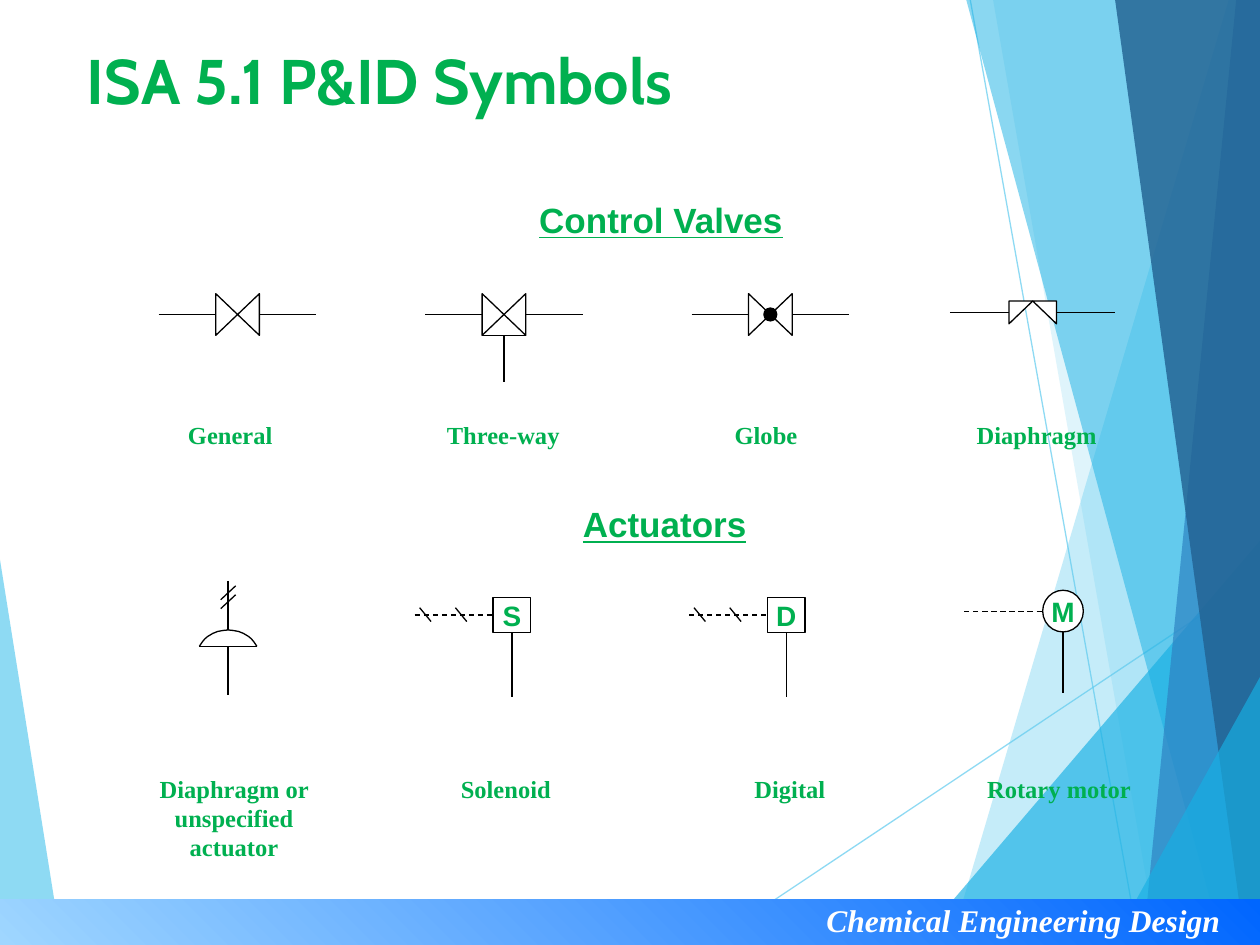
from lxml import etree
from pptx import Presentation
from pptx.dml import color
from pptx.enum import dml, shapes, text
from pptx.oxml import ns
from pptx.util import Cm, Pt

WIDTH, HEIGHT = 25.4, 19.05
GREEN, BLACK, WHITE, SKY, AZURE = "00B050", "000000", "FFFFFF", "5FCBEF", "17B0E4"
KIND = shapes.MSO_SHAPE


def rgb(value):
    return color.RGBColor.from_string(value)


def set_alpha(part, percent):
    """Make the first colour found in a fill or line translucent."""
    for tint in part.iter(ns.qn("a:srgbClr")):
        etree.SubElement(tint, ns.qn("a:alpha")).set("val", str(percent * 1000))
        break


def add_line(page, x1, y1, x2, y2, tint=BLACK, dashed=False):
    line = page.shapes.add_connector(shapes.MSO_CONNECTOR.STRAIGHT,
                                     Cm(x1), Cm(y1), Cm(x2), Cm(y2))
    line.line.color.rgb = rgb(tint)
    line.line.width = Pt(0.75)
    if dashed:
        line.line.dash_style = dml.MSO_LINE.DASH
    etree.SubElement(line._element.spPr, ns.qn("a:effectLst"))
    return line


def paint(shape, fill, outline=BLACK):
    shape.shadow.inherit = False
    shape.fill.solid()
    shape.fill.fore_color.rgb = rgb(fill)
    if outline:
        shape.line.color.rgb = rgb(outline)
        shape.line.width = Pt(0.75)
    else:
        shape.line.fill.background()
    return shape


def add_part(page, kind, x, y, width, height, fill=WHITE):
    return paint(page.shapes.add_shape(kind, Cm(x), Cm(y), Cm(width), Cm(height)), fill)


def add_outline(page, points, fill, outline=None, close=True):
    start, *rest = [(Cm(x), Cm(y)) for x, y in points]
    builder = page.shapes.build_freeform(*start)
    builder.add_line_segments(rest, close=close)
    return paint(builder.convert_to_shape(), fill, outline)


def write(shape, words, size, font="Times New Roman", tint=GREEN, align=None, wrap=True):
    frame = shape.text_frame
    frame.word_wrap = wrap
    para = frame.paragraphs[0]
    para.text = words
    para.alignment = align
    para.font.size, para.font.name, para.font.bold = Pt(size), font, True
    para.font.color.rgb = rgb(tint)
    return para


def add_text(page, box, words, size, **style):
    return write(page.shapes.add_textbox(*map(Cm, box)), words, size, **style)


def backdrop(page, width, height):
    """Translucent facets at both edges, and the footer band."""
    facets = [
        ([(0, 11.28), (1.24, height), (0, height)], SKY, 70),
        ([(24.77, 0), (19.15, height), (width, height), (width, 0)], SKY, 36),
        ([(20.02, 0), (23.34, height), (width, height), (width, 0)], SKY, 20),
        ([(18.44, height), (width, 10.9), (width, height)], AZURE, 66),
        ([(19.48, 0), (24.64, height), (width, height), (width, 0)], AZURE, 50),
        ([(24.92, 0), (23.04, height), (width, height), (width, 0)], "2E83C3", 70),
        ([(22.48, 0), (25.1, height), (width, height), (width, 0)], "236292", 82),
        ([(22.4, height), (width, 13.65), (width, height)], AZURE, 66),
    ]
    rays = [(14.25, height, width, 11.61), (19.56, 0, 22.96, height)]

    def add_facet(points, fill, percent):
        set_alpha(add_outline(page, points, fill)._element.spPr, percent)

    add_facet(*facets[0])
    for ray in rays:
        set_alpha(add_line(page, *ray, tint=SKY)._element.spPr, 70)
    for facet in facets[1:]:
        add_facet(*facet)

    # Footer band
    band = add_part(page, KIND.RECTANGLE, 0, height - 0.92, width, 0.92)
    band.line.fill.background()
    band.fill.gradient()
    band.fill.gradient_angle = 45
    for stop, tint, place in zip(band.fill.gradient_stops, ("9FD6FF", "0066FF"), (0, 1)):
        stop.color.rgb = rgb(tint)
        stop.position = place
    para = add_text(page, (16.41, height - 1.02, 8.95, 1.02),
                    "Chemical Engineering Design", 18, tint=WHITE)
    para.font.italic = True


def valve(page, x, y, kind):
    """Bow-tie valve on a pipe that starts at x, y."""
    middle = x + 1.59
    add_line(page, x, y, x + 3.18, y)
    if kind == "Three-way":
        add_line(page, middle, y + 0.43, middle, y + 1.37)
    body = add_part(page, KIND.FLOWCHART_COLLATE, middle - 0.42, y - 0.44, 0.84, 0.88)
    body.rotation = 270
    if kind == "Three-way":
        add_line(page, middle - 0.44, y + 0.43, middle + 0.44, y + 0.43)
    if kind == "Globe":
        add_part(page, KIND.OVAL, middle - 0.13, y - 0.13, 0.26, 0.26, BLACK)


def diaphragm_valve(page, x, y):
    for left, flips in ((x + 1.19, ["flipV"]), (x + 1.67, ["flipH", "flipV"])):
        half = add_part(page, KIND.RIGHT_TRIANGLE, left, y - 0.23, 0.48, 0.46)
        for flip in flips:
            half._element.spPr.xfrm.set(flip, "1")
    for left in (x, x + 2.14):
        add_line(page, left, y, left + 1.19, y)


def diaphragm_actuator(page, x, y):
    """Dome whose base is centred on x, y."""
    add_line(page, x, y - 1.32, x, y + 0.99)
    half = [(-0.58, 0), (-0.52, -0.09), (-0.47, -0.15), (-0.41, -0.2),
            (-0.31, -0.26), (-0.21, -0.3), (-0.1, -0.32)]
    arc = half + [(0, -0.33)] + [(-dx, dy) for dx, dy in reversed(half)]
    add_outline(page, [(x + dx, y + dy) for dx, dy in arc], WHITE, BLACK, close=False)
    add_line(page, x - 0.58, y, x + 0.58, y)
    for rise in (0.94, 0.76):
        add_line(page, x - 0.15, y - rise, x + 0.15, y - rise - 0.28)


def lettered_actuator(page, x, y, letter, kind, width, height, ticks):
    """Dashed signal line from x, y to a lettered body on a stem."""
    left = x + 1.58
    add_line(page, x, y, left, y, dashed=True)
    middle = left + width / 2
    add_line(page, middle, y + height / 2, middle, y + 1.65)
    for tick in ticks:
        add_line(page, x + tick, y - 0.15, x + tick + 0.23, y + 0.13)
    body = add_part(page, kind, left, y - height / 2, width, height)
    body.text_frame.vertical_anchor = text.MSO_ANCHOR.MIDDLE
    write(body, letter, 16, font="Arial", align=text.PP_ALIGN.CENTER, wrap=False)


def section(page, heading_box, heading, label_top, labels):
    """Underlined heading and a row of symbol names."""
    para = add_text(page, heading_box, heading, 20, font="Arial")
    para.font.underline = True
    for left, width, words, align in labels:
        add_text(page, (left, label_top, width, 0.86), words, 14, align=align)


def control_valves(page, x, y):
    for column, kind in enumerate(("General", "Three-way", "Globe")):
        valve(page, x + column * 5.37, y, kind)
    diaphragm_valve(page, x + 15.95, y - 0.04)
    left = text.PP_ALIGN.LEFT
    section(page, (x + 7.42, y - 2.46, 6, 1.12), "Control Valves", y + 2.01,
            [(x + 0.34, 2.8, "General", left), (x + 5.56, 3.4, "Three-way", left),
             (x + 11.36, 2.4, "Globe", left), (x + 16.24, 3.6, "Diaphragm", left)])


def actuators(page, x, y):
    diaphragm_actuator(page, x, y + 0.63)
    for column, letter in enumerate("SD"):
        lettered_actuator(page, x + 3.76 + column * 5.53, y, letter,
                          KIND.RECTANGLE, 0.76, 0.71, (0.1, 0.82))
    lettered_actuator(page, x + 14.84, y - 0.08, "M", KIND.OVAL, 0.82, 0.84, ())
    left, center = text.PP_ALIGN.LEFT, text.PP_ALIGN.CENTER
    section(page, (x + 6.9, y - 2.39, 4.4, 1.12), "Actuators", y + 3.07,
            [(x - 2.27, 4.78, "Diaphragm or unspecified actuator", center),
             (x + 4.44, 3, "Solenoid", left), (x + 10.36, 2.6, "Digital", left),
             (x + 15.05, 4.2, "Rotary motor", left)])


def main():
    deck = Presentation()
    deck.slide_width, deck.slide_height = Cm(WIDTH), Cm(HEIGHT)
    page = deck.slides.add_slide(deck.slide_layouts[6])
    backdrop(page, WIDTH, HEIGHT)

    # Title
    title = page.shapes.add_textbox(Cm(1.5), Cm(0.59), Cm(20.68), Cm(2))
    title.text_frame.vertical_anchor = text.MSO_ANCHOR.MIDDLE
    write(title, "ISA 5.1 P&ID Symbols", 36, font="Cabin")

    control_valves(page, 3.2, 6.34)
    actuators(page, 4.6, 12.4)
    deck.save("out.pptx")


if __name__ == "__main__":
    main()
